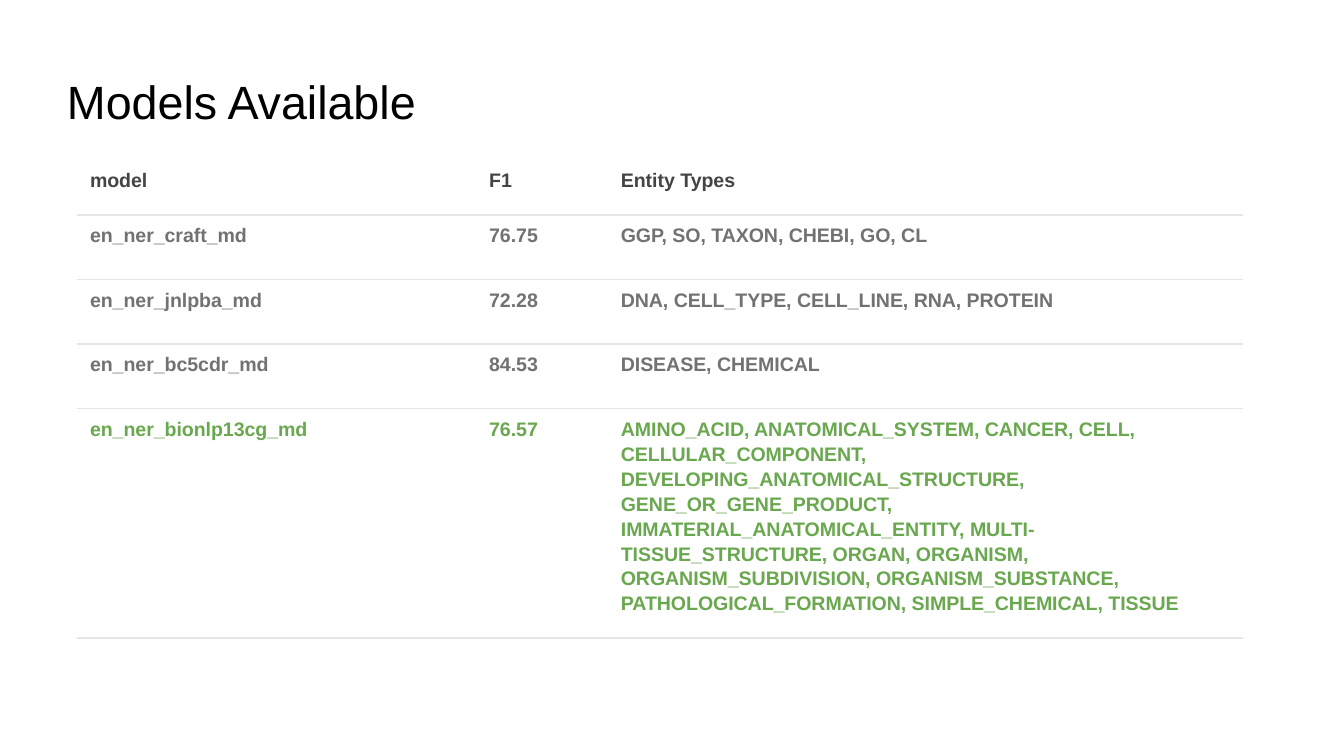
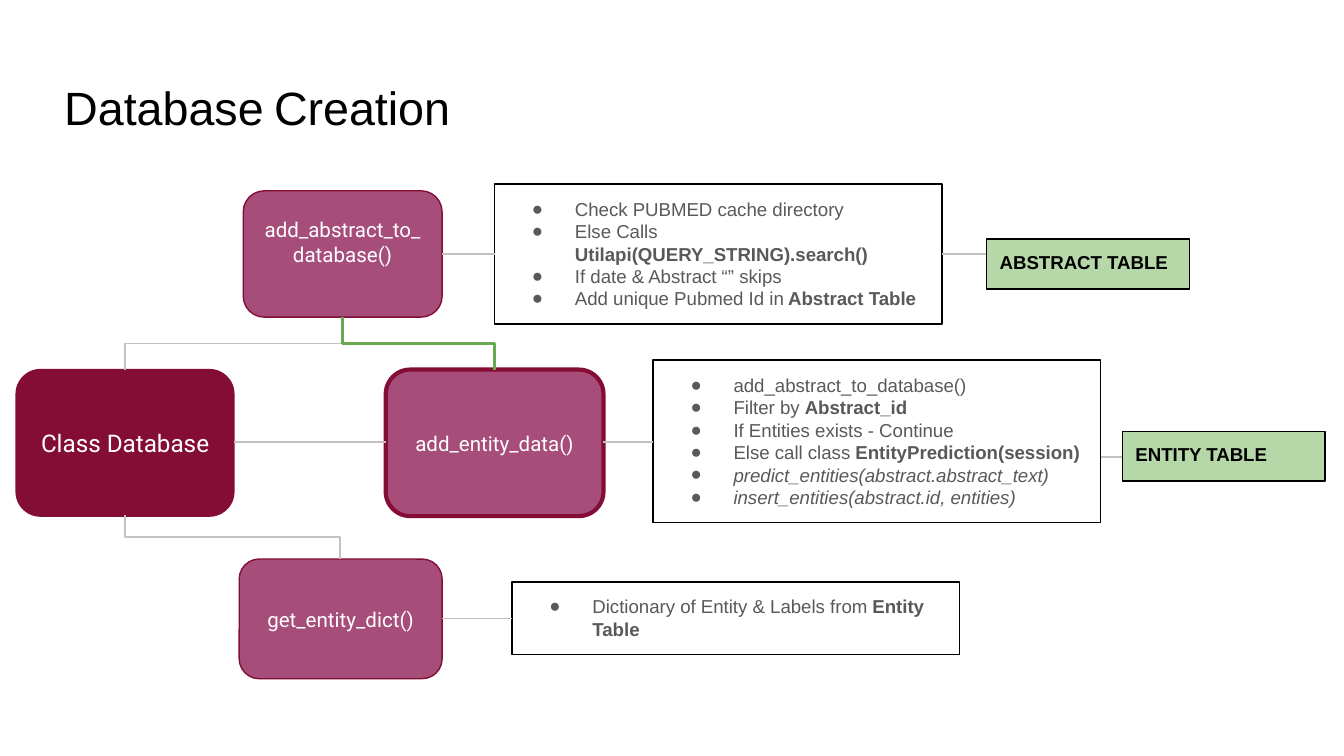
"""Build two slides: a table of models and a diagram of database creation."""
from lxml.etree import SubElement as Sub
from pptx import Presentation
from pptx.dml.color import RGBColor as Rgb
from pptx.enum.shapes import MSO_CONNECTOR as Wire, MSO_SHAPE as Kind
from pptx.enum.text import MSO_ANCHOR as Anchor, MSO_AUTO_SIZE as Fit, PP_ALIGN as Align
from pptx.oxml.ns import qn
from pptx.util import Pt

PX = 9144
HUES = {
    "black": "000000", "white": "FFFFFF", "head": "444444", "gray": "727272",
    "text": "595959", "green": "6AA84F", "pale": "B6D7A8", "plum": "A64D79",
    "wine": "840D35", "rule": "E5E5E5", "wire": "C2C2C2", "red": "980000",
}
INK = {name: Rgb.from_string(code) for name, code in HUES.items()}


def style(font, size, hue, face="Arial", bold=False):
    font.size, font.name, font.bold = Pt(size), face, bold
    font.color.rgb = INK[hue]


def block(slide, kind, box, fill, edge, width=0.75):
    shape = slide.shapes.add_shape(kind, *[n * PX for n in box])
    shape.shadow.inherit = False
    if fill:
        shape.fill.solid()
        shape.fill.fore_color.rgb = INK[fill]
    else:
        shape.fill.background()
    shape.line.color.rgb, shape.line.width = INK[edge], Pt(width)
    frame = shape.text_frame
    frame.word_wrap = True
    frame.margin_left = frame.margin_right = 10 * PX
    frame.margin_top = frame.margin_bottom = 10 * PX
    if kind == Kind.RECTANGLE:
        frame.vertical_anchor = Anchor.TOP
        frame.auto_size = Fit.SHAPE_TO_FIT_TEXT
    else:
        frame.vertical_anchor = Anchor.MIDDLE
    return frame


deck = Presentation()
deck.slide_width = 1000 * PX
deck.slide_height = deck.slide_width * 9 // 16

pages = []
for box, runs in [
    ((40, 44, 431, 62), [("Models Available", 25, "black", False)]),
    ((38, 49, 374, 62), [
        ("Database", 25, "black", False),
        (" ", 20, "red", True),
        ("Creation", 25, "black", False),
    ]),
]:
    page = deck.slides.add_slide(deck.slide_layouts[6])
    frame = page.shapes.add_textbox(*[n * PX for n in box]).text_frame
    frame.word_wrap = True
    frame.auto_size = Fit.SHAPE_TO_FIT_TEXT
    frame.margin_left = frame.margin_right = 10 * PX
    frame.margin_top = frame.margin_bottom = 10 * PX
    for text, size, hue, bold in runs:
        run = frame.paragraphs[0].add_run()
        run.text = text
        style(run.font, size, hue, bold=bold)
    pages.append(page)
models, data = pages

rows = [
    (41, "head", "model", "F1", "Entity Types"),
    (48, "gray", "en_ner_craft_md", "76.75", "GGP, SO, TAXON, CHEBI, GO, CL"),
    (48, "gray", "en_ner_jnlpba_md", "72.28", "DNA, CELL_TYPE, CELL_LINE, RNA, PROTEIN"),
    (48, "gray", "en_ner_bc5cdr_md", "84.53", "DISEASE, CHEMICAL"),
    (168, "green", "en_ner_bionlp13cg_md", "76.57",
     "AMINO_ACID, ANATOMICAL_SYSTEM, CANCER, CELL, CELLULAR_COMPONENT, "
     "DEVELOPING_ANATOMICAL_STRUCTURE, GENE_OR_GENE_PRODUCT, "
     "IMMATERIAL_ANATOMICAL_ENTITY, MULTI-TISSUE_STRUCTURE, ORGAN, ORGANISM, "
     "ORGANISM_SUBDIVISION, ORGANISM_SUBSTANCE, PATHOLOGICAL_FORMATION, "
     "SIMPLE_CHEMICAL, TISSUE"),
]
cols = [297, 98, 473]
high = sum(row[0] for row in rows)
grid = models.shapes.add_table(
    len(rows), len(cols), 57 * PX, 119 * PX, sum(cols) * PX, high * PX).table
grid.first_row = grid.horz_banding = False
grid._tbl.tblPr.find(qn("a:tableStyleId")).text = "{2D5ABB26-0587-4C30-8999-92F81FD0307C}"
for col, wide in zip(grid.columns, cols):
    col.width = wide * PX
for row, (tall, hue, *texts) in zip(grid.rows, rows):
    row.height = tall * PX
    for cell, text in zip(row.cells, texts):
        cell.text = text
        cell.margin_left = cell.margin_right = 10 * PX
        cell.margin_top = cell.margin_bottom = 5 * PX
        para = cell.text_frame.paragraphs[0]
        para.line_spacing, para.space_after = 1.15, Pt(15)
        style(para.font, 10.5, hue, bold=True)
        rule = Sub(cell._tc.get_or_add_tcPr(), qn("a:lnB"), w=str(Pt(0.75)))
        Sub(Sub(rule, qn("a:solidFill")), qn("a:srgbClr"), val=HUES["rule"])
        cell.fill.solid()
        cell.fill.fore_color.rgb = INK["white"]

for text, box, fill, width, size, foot in [
    ("add_entity_data()", (287, 275, 162, 109), "plum", 2.25, 11, 10),
    ("add_abstract_to_database()", (181, 142, 148, 94), "plum", 0.75, 11, 28),
    ("get_entity_dict()", (178, 416, 151, 89), "plum", 0.75, 11, 10),
    ("Class Database", (12, 275, 162, 109), "wine", 0.75, 13, 10),
]:
    frame = block(data, Kind.ROUNDED_RECTANGLE, box, fill, "wine", width)
    frame.margin_bottom = foot * PX
    frame.text = text
    para = frame.paragraphs[0]
    para.alignment = Align.CENTER
    style(para.font, size, "white", "Roboto")

for box, lines in [
    ((368, 137, 333, 104), [
        ("Check PUBMED cache directory", "", ""),
        ("Else Calls ", "Utilapi(QUERY_STRING).search()", ""),
        ("If date & Abstract “” skips", "", ""),
        ("Add unique Pubmed Id in", " Abstract Table", ""),
    ]),
    ((486, 268, 333, 121), [
        ("add_abstract_to_database()", "", ""),
        ("Filter by ", "Abstract_id", ""),
        ("If Entities exists - Continue", "", ""),
        ("Else call class ", "EntityPrediction(session)", ""),
        ("", "", "predict_entities(abstract.abstract_text)"),
        ("", "", "insert_entities(abstract.id, entities)"),
    ]),
    ((381, 433, 333, 54), [
        ("Dictionary of Entity & Labels from", " Entity Table", ""),
    ]),
]:
    frame = block(data, Kind.RECTANGLE, box, None, "black")
    for i, parts in enumerate(lines):
        para = frame.add_paragraph() if i else frame.paragraphs[0]
        para.alignment = Align.LEFT
        prop = para._p.get_or_add_pPr()
        prop.set("marL", str(50 * PX))
        prop.set("indent", str(-32 * PX))
        Sub(Sub(prop, qn("a:buClr")), qn("a:srgbClr"), val=HUES["text"])
        Sub(prop, qn("a:buSzPts"), val="1000")
        Sub(prop, qn("a:buFont"), typeface="Arial")
        Sub(prop, qn("a:buChar"), char="●")
        for j, text in enumerate(parts):
            if text:
                run = para.add_run()
                run.text = text
                style(run.font, 10, "text", bold=j == 1)
                run.font.italic = j == 2

for text, left, top in [("ABSTRACT TABLE", 734, 178), ("ENTITY TABLE", 835, 321)]:
    frame = block(data, Kind.RECTANGLE, (left, top, 151, 37), "pale", "black")
    frame.text = text
    para = frame.paragraphs[0]
    para.alignment = Align.LEFT
    style(para.font, 10, "black", bold=True)

for x1, y1, x2, y2, hue, width in [
    (174, 329, 287, 329, "wire", 0.75),
    (329, 189, 368, 189, "wire", 0.75),
    (449, 329, 486, 329, "wire", 0.75),
    (329, 460, 381, 460, "wire", 0.75),
    (701, 189, 734, 189, "wire", 0.75),
    (819, 340, 835, 340, "wire", 0.75),
    (93, 275, 255, 236, "wire", 0.75),
    (93, 383, 253, 416, "wire", 0.75),
    (255, 236, 368, 275, "green", 1.5),
]:
    kind, ends = Wire.STRAIGHT, (x1, y1, x2, y2)
    if y1 != y2:
        mid, cen = (x1 + x2) / 2, (y1 + y2) / 2
        dx, dy = (x2 - x1) / 2, (y2 - y1) / 2
        kind, ends = Wire.ELBOW, (mid + dy, cen - dx, mid - dy, cen + dx)
    link = data.shapes.add_connector(kind, *[int(n * PX) for n in ends])
    link.line.color.rgb, link.line.width = INK[hue], Pt(width)
    prop = link.element.spPr
    if kind == Wire.ELBOW:
        prop.xfrm.set("rot", str(270 * 60000))
    Sub(prop, qn("a:effectLst"))

deck.save("out.pptx")
